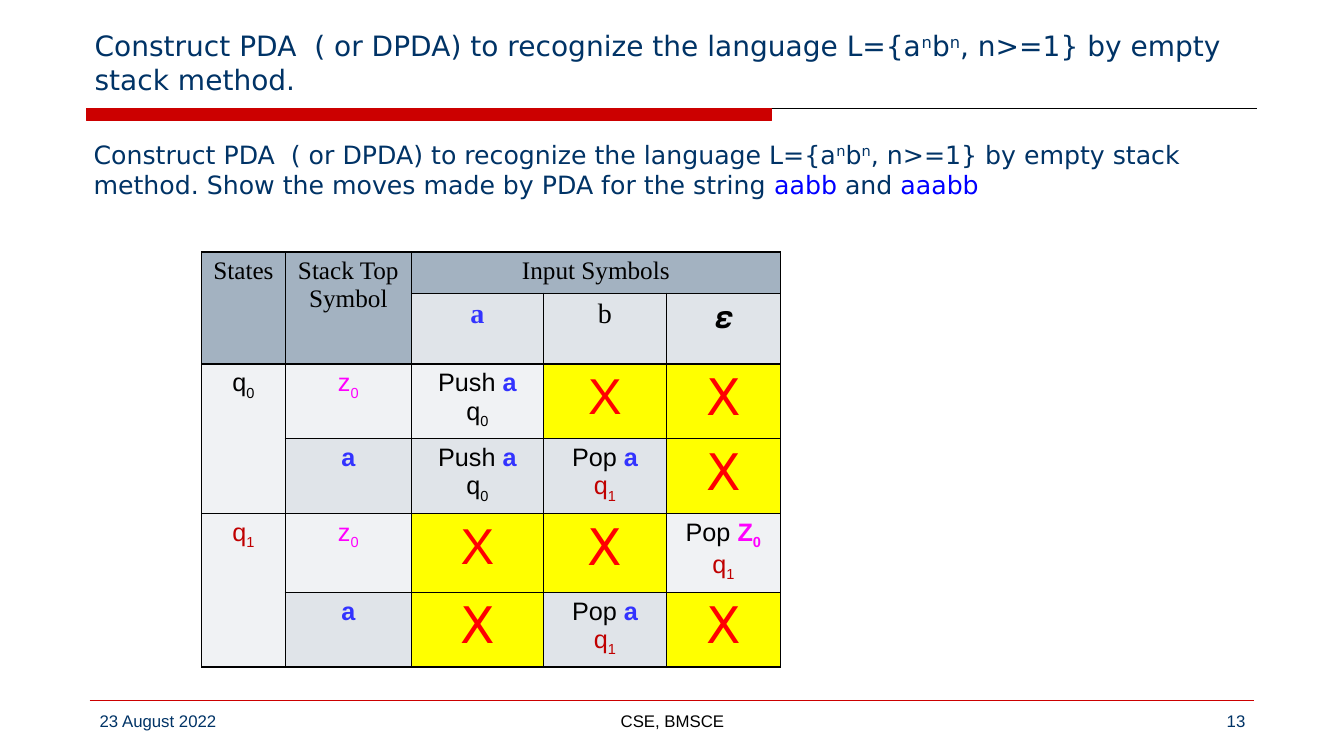
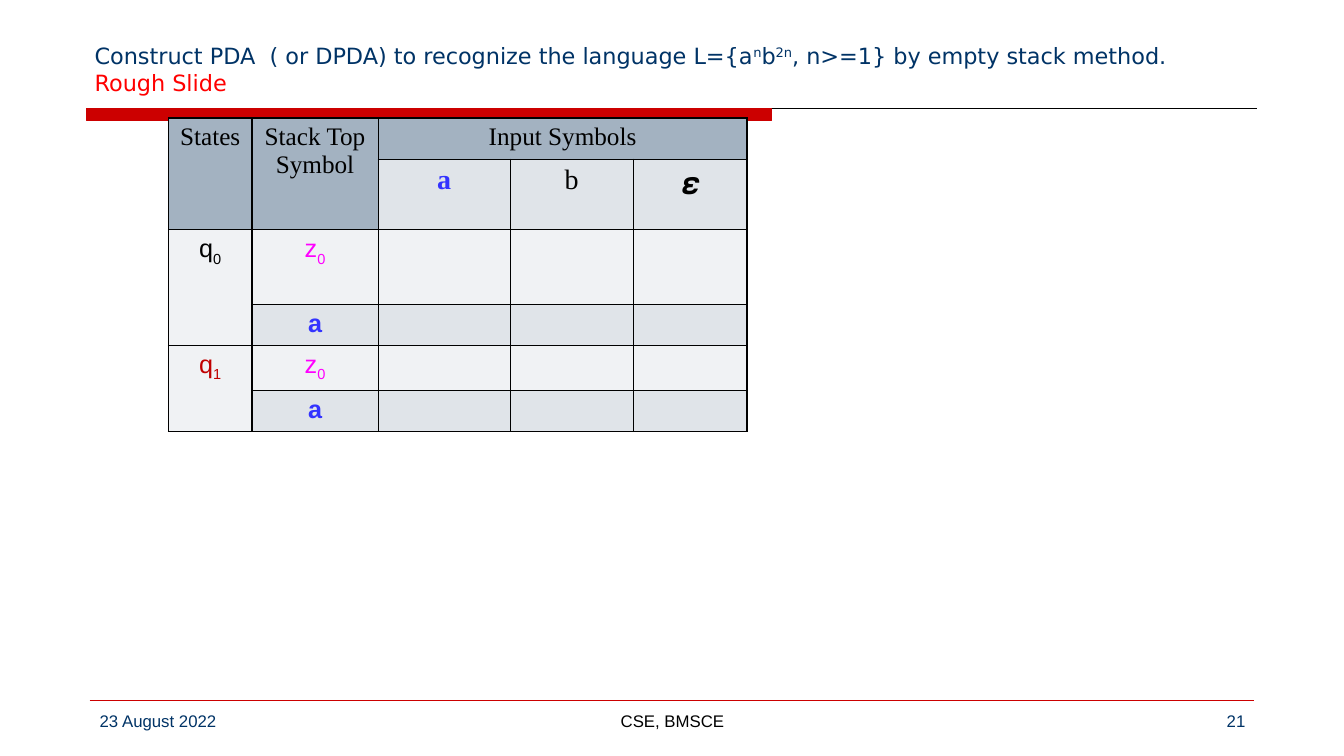
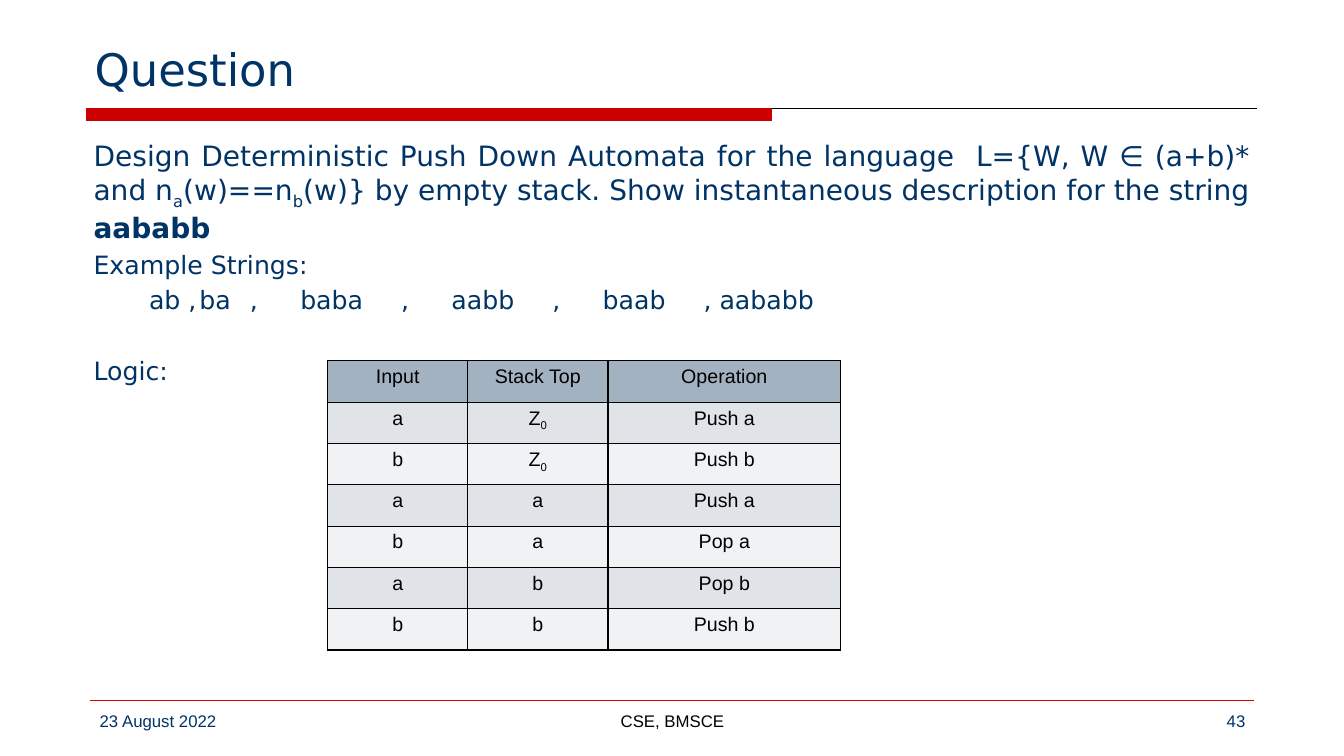
from lxml import etree
from pptx import Presentation
from pptx import util as u
from pptx.dml import color as dml
from pptx.enum import shapes, text
from pptx.oxml import ns

NAVY, RED, BLACK = "003366", "CC0000", "000000"
BLUE, MAGENTA, CRIMSON = "3333FF", "FF00FF", "C00000"
HEADER, BANDS, YELLOW = "A3B2C1", ("F0F2F4", "E0E4E9"), "FFFF00"
SANS, SERIF, HEADING = "Arial", "Times New Roman", "DejaVu Sans"
LEFT, CENTER, RIGHT, JUSTIFY = (
    text.PP_ALIGN.LEFT, text.PP_ALIGN.CENTER, text.PP_ALIGN.RIGHT, text.PP_ALIGN.JUSTIFY)
AUTOMATON_COLUMNS = (0.83, 1.25, 1.31, 1.22, 1.13)
AUTOMATON_SPANS = ((0, 0, 1, 0), (0, 1, 1, 1), (0, 2, 0, 4), (2, 0, 3, 0), (4, 0, 5, 0))


def rgb(value):
    """Turn a hex string into a colour."""
    return dml.RGBColor.from_string(value)


def styled(content, **style):
    """Pair a piece of text with its own format."""
    return content, style


def sub(content, **style):
    """Make a subscript."""
    return styled(content, base=-25, **style)


def sup(content):
    """Make a superscript."""
    return styled(content, base=30)


def write(frame, lines, align=LEFT, **style):
    """Fill a text frame with paragraphs of formatted runs."""
    frame.word_wrap = True
    for number, line in enumerate(lines):
        paragraph = frame.paragraphs[0] if number == 0 else frame.add_paragraph()
        paragraph.alignment = align
        for piece in line:
            content, own = piece if isinstance(piece, tuple) else (piece, {})
            look = {"size": 18, "font": SANS, "color": BLACK, "bold": False, "base": 0, **style, **own}
            run = paragraph.add_run()
            run.text = content
            run.font.size = u.Pt(look["size"])
            run.font.name = look["font"]
            run.font.bold = look["bold"]
            run.font.color.rgb = rgb(look["color"])
            if look["base"]:
                run.font._element.set("baseline", str(look["base"] * 1000))


def text_box(slide, box, lines, anchor=text.MSO_ANCHOR.TOP, **style):
    """Add a text box and return its frame."""
    frame = slide.shapes.add_textbox(*map(u.Inches, box)).text_frame
    frame.vertical_anchor = anchor
    write(frame, lines, **style)
    return frame


def rule(slide, left, right, top, color):
    """Draw a thin horizontal line."""
    line = slide.shapes.add_connector(
        shapes.MSO_CONNECTOR.STRAIGHT, *map(u.Inches, (left, top, right, top)))
    line.line.color.rgb = rgb(color)
    line.line.width = u.Pt(0.75)
    etree.SubElement(line._element.spPr, ns.qn("a:effectLst"))


def add_page(deck, title, size, number):
    """Add a slide with its title, band and footer."""
    slide = deck.slides.add_slide(deck.slide_layouts[6])
    rule(slide, 0.86, 12.47, 1.08, BLACK)
    band = slide.shapes.add_shape(
        shapes.MSO_SHAPE.RECTANGLE, *map(u.Inches, (0.86, 1.08, 6.79, 0.12)))
    band.shadow.inherit = False
    band.fill.solid()
    band.fill.fore_color.rgb = rgb(RED)
    band.line.color.rgb = rgb(RED)
    band.line.width = u.Pt(0.75)
    rule(slide, 0.89, 12.44, 6.95, RED)
    text_box(slide, (0.84, 0.17, 11.67, 0.83), title, text.MSO_ANCHOR.BOTTOM,
             size=size, font=HEADING, color=NAVY)
    for left, width, content, align, color in (
            (0.89, 2.89, "23 August 2022", LEFT, NAVY),
            (4.56, 4.22, "CSE, BMSCE", CENTER, BLACK),
            (9.56, 2.89, str(number), RIGHT, NAVY)):
        text_box(slide, (left, 7, width, 0.35), [[content]], align=align, size=12, color=color)
    return slide


def body(slide, lines, **style):
    """Add the main text below the band."""
    return text_box(slide, (0.83, 1.33, 11.67, 5.5), lines, font=HEADING, color=NAVY, **style)


def outline(cell):
    """Draw a black border round a cell."""
    properties = cell._tc.get_or_add_tcPr()
    for side in ("a:lnL", "a:lnR", "a:lnT", "a:lnB"):
        edge = etree.SubElement(properties, ns.qn(side), w=str(u.Pt(1)))
        fill = etree.SubElement(edge, ns.qn("a:solidFill"))
        etree.SubElement(fill, ns.qn("a:srgbClr"), val=BLACK)


def grid(slide, left, top, widths, heights, rows, spans=(), size=18):
    """Add a banded table; a cell holding a cross turns yellow."""
    table = slide.shapes.add_table(
        len(heights), len(widths), *map(u.Inches, (left, top, sum(widths), sum(heights)))).table
    table.first_row = table.horz_banding = False
    for column, width in zip(table.columns, widths):
        column.width = u.Inches(width)
    for row, height in zip(table.rows, heights):
        row.height = u.Inches(height)
    for r, row in enumerate(rows):
        for c, lines in enumerate(row):
            cell = table.cell(r, c)
            outline(cell)
            cell.fill.solid()
            plain = HEADER if r == 0 else BANDS[r % 2]
            cell.fill.fore_color.rgb = rgb(YELLOW if lines in (CROSS, WIDE_CROSS) else plain)
            write(cell.text_frame, lines, align=CENTER, size=size)
    for r1, c1, r2, c2 in spans:
        table.cell(r1, c1).merge(table.cell(r2, c2))


CROSS = [[styled("X", size=36, color="FF0000")]]
WIDE_CROSS = [[styled("X", size=36, color="FF0000", font=HEADING)]]
Q0 = ["q", sub("0")]
Q1 = [styled("q", color=CRIMSON), sub("1", color=CRIMSON)]
A = styled("a", color=BLUE, bold=True)
BLANK = [[], [], []]


def automaton(slide, left, top, heights, moves):
    """Add a transition table for states q0 and q1."""
    def serif(content, **style):
        return [styled(content, font=SERIF, **style)]

    bottom = [[styled("z", color=MAGENTA), sub("0", color=MAGENTA)]]
    rows = [
        [[serif("States")], [serif("Stack Top"), serif("Symbol")], [serif("Input Symbols")], [], []],
        [[], [], [serif("a", size=20, color=BLUE, bold=True)], [serif("b", size=20)],
         [serif("𝞮", size=24)]]]
    starts = ([Q0], bottom), ([], [[A]]), ([Q1], bottom), ([], [[A]])
    rows += [[*start, *move] for start, move in zip(starts, moves)]
    grid(slide, left, top, AUTOMATON_COLUMNS, heights, rows, AUTOMATON_SPANS)


def language(power, ending):
    """Write the task line for a power of b."""
    return ["Construct PDA  ( or DPDA) to recognize the language L={a", sup("n"), "b", sup(power),
            ", n>=1} by empty stack method." + ending]


def example_line(paragraph):
    """Set the indent and tab stops of the example strings."""
    properties = paragraph._p.get_or_add_pPr()
    properties.set("marL", str(u.Inches(0.55)))
    properties.set("indent", "0")
    stops = etree.SubElement(properties, ns.qn("a:tabLst"))
    for stop in (1.66, 2.2, 2.44, 3.3, 3.62, 4.48, 4.8, 5.57):
        etree.SubElement(stops, ns.qn("a:tab"), pos=str(u.Inches(stop)), algn="l")


def equal_powers(deck):
    """Build the slide with the solved table."""
    slide = add_page(deck, [language("n", "")], 20, 13)
    task = language("n", " Show the moves made by PDA for the string ")
    body(slide, [task + [styled("aabb", color="0000FF"), " and ", styled("aaabb", color="0000FF")]])
    push = [["Push ", A], Q0]
    pop = [["Pop ", A], Q1]
    finish = [["Pop ", styled("Z", color=MAGENTA, bold=True), sub("0", color=MAGENTA, bold=True)], Q1]
    automaton(slide, 2, 2.5, (0.41, 0.65, 0.74, 0.71, 0.74, 0.71), [
        [push, CROSS, WIDE_CROSS],
        [push, pop, WIDE_CROSS],
        [CROSS, WIDE_CROSS, finish],
        [WIDE_CROSS, pop, WIDE_CROSS]])


def double_power(deck):
    """Build the rough slide with the empty table."""
    title = [language("2n", ""), [styled("Rough Slide", color="FF0000")]]
    slide = add_page(deck, title, 16, 21)
    automaton(slide, 1.67, 1.17, (0.41, 0.65, 0.74, 0.41, 0.41, 0.41), [BLANK] * 4)


def question(deck):
    """Build the question slide with its logic table."""
    slide = add_page(deck, [["Question"]], 32, 43)
    task = [
        "Design Deterministic Push Down Automata for the language  L={W, W ∈ (a+b)* and n", sub("a"),
        "(w)==n", sub("b"), "(w)} by empty stack. Show instantaneous description for the string ",
        styled("aababb", bold=True)]
    notes = ["Example Strings:", "ab ,\tba\t,\tbaba\t,\taabb\t,\tbaab\t, aababb", "Logic:"]
    frame = body(slide, [task] + [[styled(note, size=18)] for note in notes], align=JUSTIFY, size=20)
    for paragraph, space in zip(frame.paragraphs[1:], (3.6, 3.6, 28.6)):
        paragraph.space_before = u.Pt(space)
    frame.paragraphs[2].alignment = LEFT
    example_line(frame.paragraphs[2])
    z0 = ["Z", sub("0")]
    steps = [
        ("Input", ["Stack Top"], "Operation"),
        ("a", z0, "Push a"),
        ("b", z0, "Push b"),
        ("a", ["a"], "Push a"),
        ("b", ["a"], "Pop a"),
        ("a", ["b"], "Pop b"),
        ("b", ["b"], "Push b")]
    rows = [[[[symbol]], [top], [[action]]] for symbol, top, action in steps]
    grid(slide, 3.25, 3.58, (1.39, 1.39, 2.31), [0.41] * len(rows), rows, size=14)


def main():
    """Build and save the deck."""
    deck = Presentation()
    deck.slide_width, deck.slide_height = u.Inches(13.33), u.Inches(7.5)
    equal_powers(deck)
    double_power(deck)
    question(deck)
    deck.save("out.pptx")


if __name__ == "__main__":
    main()
